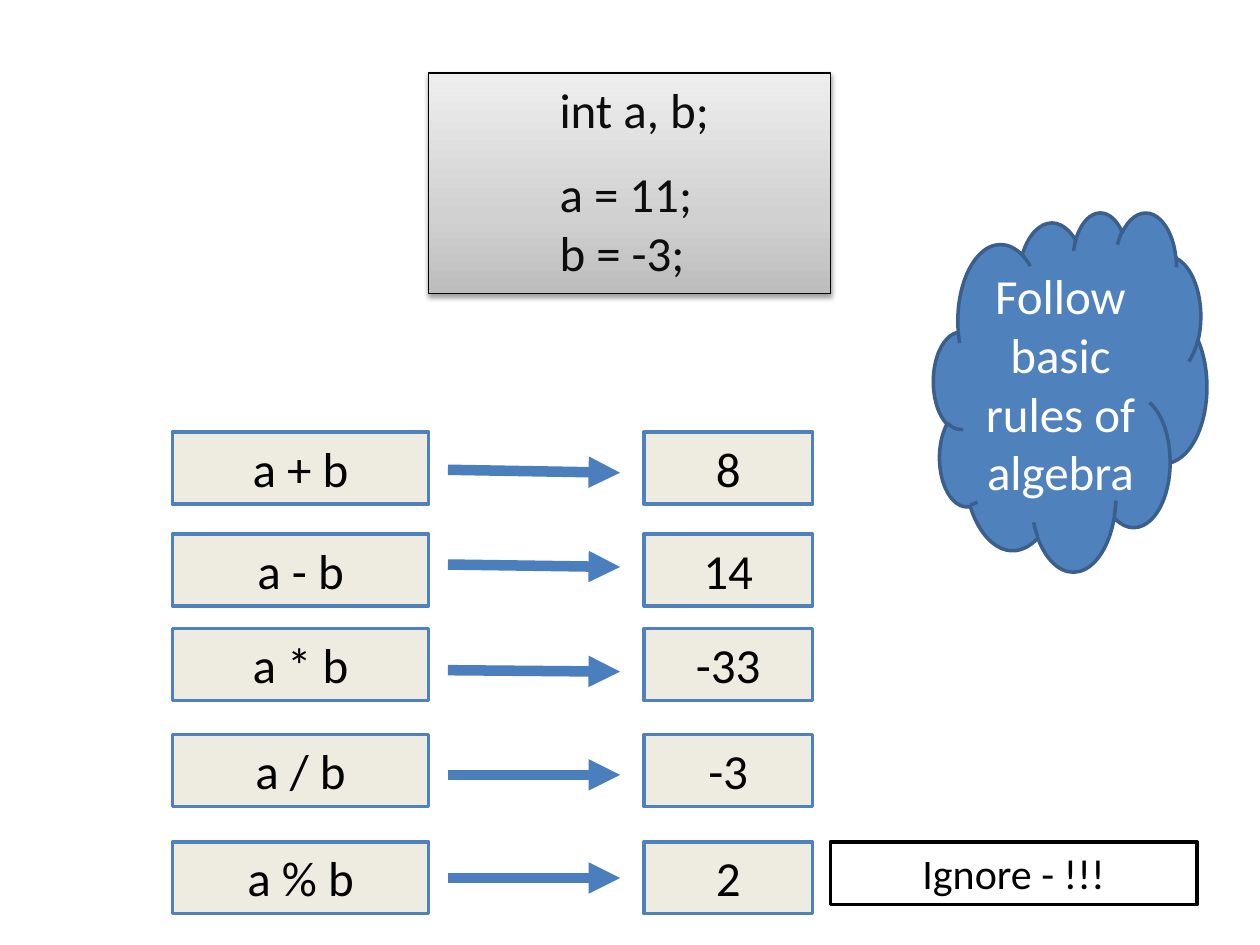
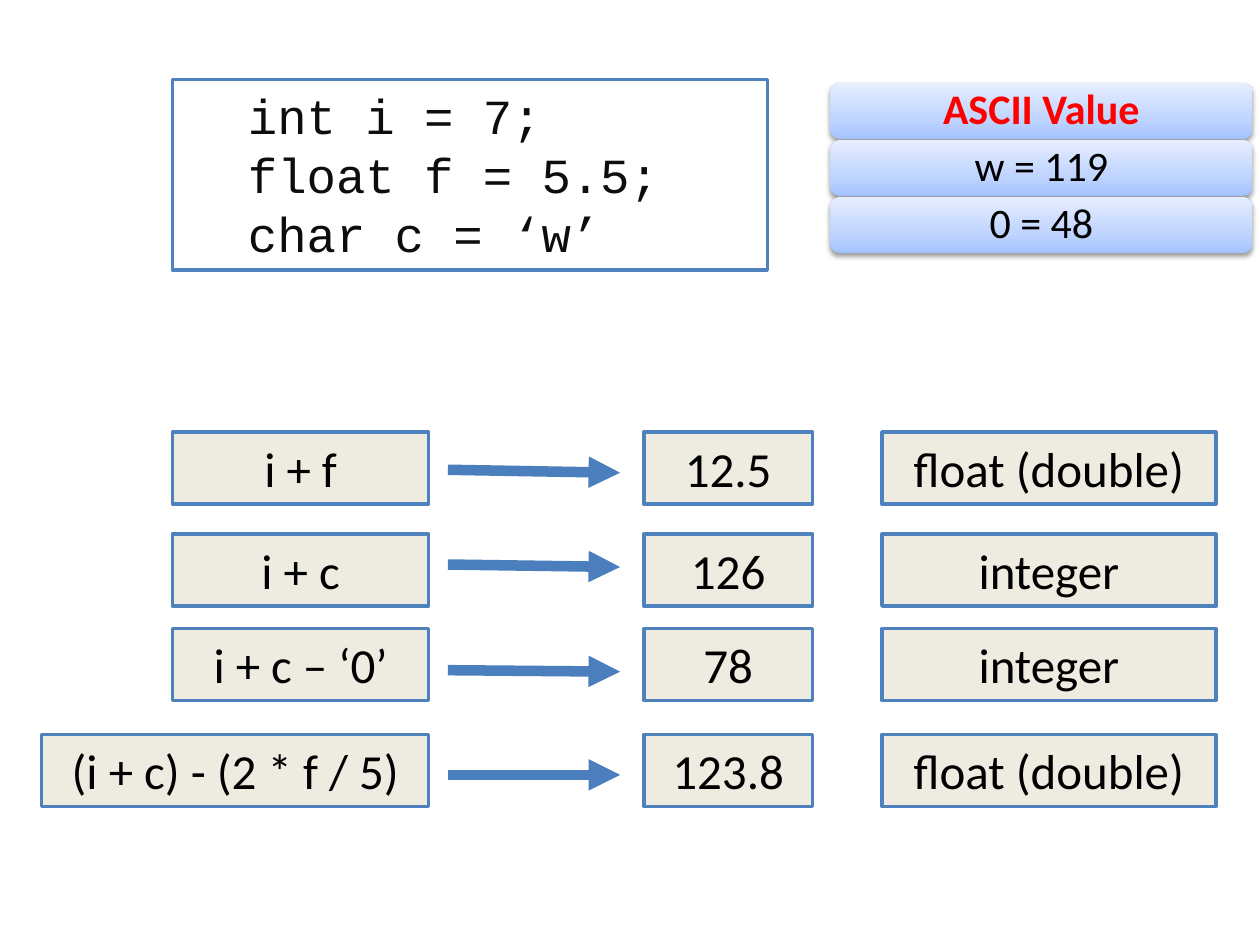
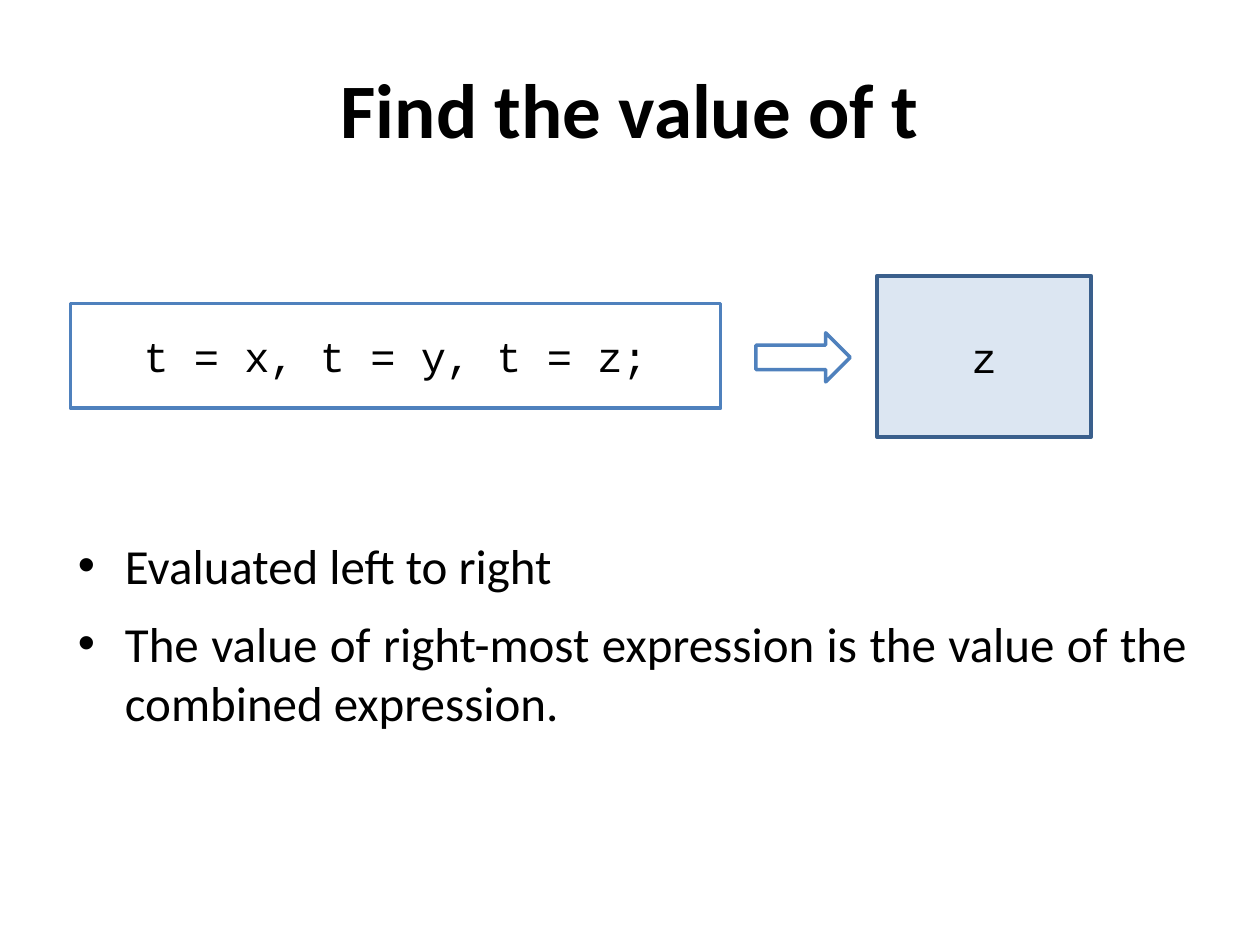
"""Build three slides on evaluating arithmetic and comma expressions in C."""
from lxml import etree
from pptx import Presentation
from pptx import util as u
from pptx.dml.color import RGBColor
from pptx.enum import shapes, text
from pptx.oxml.ns import qn

BLACK = RGBColor(0x00, 0x00, 0x00)
CODE_INK = RGBColor(0x0D, 0x0D, 0x0D)
WHITE = RGBColor(0xFF, 0xFF, 0xFF)
RED = RGBColor(0xFF, 0x00, 0x00)
CREAM = RGBColor(0xEE, 0xEC, 0xE1)
PALE_BLUE = RGBColor(0xDC, 0xE6, 0xF2)
BLUE = RGBColor(0x4F, 0x81, 0xBD)
DARK_BLUE = RGBColor(0x3A, 0x5F, 0x8C)
ARROW_BLUE = RGBColor(0x4B, 0x7E, 0xBC)
GREY_BLEND = ((0, "BDBDBD"), (35, "D1D1D1"), (100, "EEEEEE"))
BLUE_BLEND = ((0, "A4C4FF"), (35, "BFD4FF"), (100, "E6EEFF"))

SANS, MONO = "Calibri", "Courier New"
SHAPE = shapes.MSO_SHAPE
TOP, MIDDLE = text.MSO_ANCHOR.TOP, text.MSO_ANCHOR.MIDDLE
LEFT, CENTER, JUSTIFY = text.PP_ALIGN.LEFT, text.PP_ALIGN.CENTER, text.PP_ALIGN.JUSTIFY

ROW_TOPS = (8.71, 10.77, 12.67, 14.81, 16.97)
ROW_HEIGHT = 1.45
ARROW_ENDS = ((9.47, 9.53), (11.38, 11.43), (13.51, 13.54), (15.62, 15.62), (17.7, 17.7))
ARROW_LEFT, ARROW_RIGHT = 9.03, 12.5
EXPRESSION_LEFT, EXPRESSION_RIGHT = 3.48, 8.64
LONG_EXPRESSION_LEFT = 0.84
RESULT_LEFT, RESULT_WIDTH = 12.98, 3.4
TYPE_LEFT, TYPE_WIDTH = 17.78, 6.73

INTEGER_CODE = ("int a, b;", "a = 11;", "b = -3;")
INTEGER_ROWS = (("a + b", "8"), ("a - b", "14"), ("a * b", "-33"), ("a / b", "-3"), ("a % b", "2"))

MIXED_CODE = ("int i = 7;", "float f = 5.5;", "char c = ‘w’")
MIXED_ROWS = (
    ("i + f", "12.5", "float (double)"),
    ("i + c", "126", "integer"),
    ("i + c – ‘0’", "78", "integer"),
    ("(i + c) - (2 * f / 5)", "123.8", "float (double)"),
)
ASCII_ROWS = (("ASCII Value", RED, True), ("w = 119", BLACK, False), ("0 = 48", BLACK, False))

COMMA_NOTES = (
    "Evaluated left to right",
    "The value of right-most expression is the value of the combined expression.",
)


def write(box, lines, size=28, font=SANS, color=BLACK, bold=False, align=CENTER, anchor=TOP, indent=0):
    """Fill a box with one paragraph per line."""
    frame = box.text_frame
    frame.word_wrap = True
    frame.vertical_anchor = anchor
    for number, line in enumerate(lines):
        para = frame.paragraphs[0] if number == 0 else frame.add_paragraph()
        para.alignment = align
        if indent:
            para._p.get_or_add_pPr().set("marL", str(u.Cm(indent)))
        span = para.add_run()
        span.text = line
        span.font.name = font
        span.font.size = u.Pt(size)
        span.font.bold = bold
        span.font.color.rgb = color
    return box


def add_box(page, place, fill, line=None, kind=SHAPE.RECTANGLE, weight=2):
    """Add a preset shape without a shadow at a place in centimetres."""
    box = page.shapes.add_shape(kind, *map(u.Cm, place))
    box.shadow.inherit = False
    box.fill.solid()
    box.fill.fore_color.rgb = fill
    if line is None:
        box.line.fill.background()
    else:
        box.line.color.rgb = line
        box.line.width = u.Pt(weight)
    return box


def blend(box, stops):
    """Give a box an upward gradient and a soft shadow."""
    props = box._element.spPr
    gradient = etree.Element(qn("a:gradFill"), rotWithShape="1")
    stop_list = etree.SubElement(gradient, qn("a:gsLst"))
    for percent, shade in stops:
        stop = etree.SubElement(stop_list, qn("a:gs"), pos=str(percent * 1000))
        etree.SubElement(stop, qn("a:srgbClr"), val=shade)
    etree.SubElement(gradient, qn("a:lin"), ang="16200000", scaled="0")
    props.replace(props.find(qn("a:solidFill")), gradient)
    shadow = etree.SubElement(
        props.find(qn("a:effectLst")), qn("a:outerShdw"),
        blurRad=str(u.Pt(3.1)), dist=str(u.Pt(1.6)), dir="5400000", rotWithShape="0")
    tint = etree.SubElement(shadow, qn("a:srgbClr"), val="000000")
    etree.SubElement(tint, qn("a:alpha"), val="38000")


def add_arrow(page, start_y, end_y):
    """Add a thick arrow from the expression column to the result column."""
    arrow = page.shapes.add_connector(
        shapes.MSO_CONNECTOR.STRAIGHT,
        u.Cm(ARROW_LEFT), u.Cm(start_y), u.Cm(ARROW_RIGHT), u.Cm(end_y))
    arrow.line.color.rgb = ARROW_BLUE
    arrow.line.width = u.Pt(6)
    etree.SubElement(arrow.line._get_or_add_ln(), qn("a:tailEnd"), type="triangle")
    etree.SubElement(arrow._element.spPr, qn("a:effectLst"))


def add_rows(page, rows):
    """Add each expression with its arrow, its result and, if given, its type."""
    for row, top, ends in zip(rows, ROW_TOPS, ARROW_ENDS):
        left = LONG_EXPRESSION_LEFT if len(row[0]) > 12 else EXPRESSION_LEFT
        columns = (
            (left, EXPRESSION_RIGHT - left), (RESULT_LEFT, RESULT_WIDTH), (TYPE_LEFT, TYPE_WIDTH))
        for label, (x, width) in zip(row, columns):
            write(add_box(page, (x, top, width, ROW_HEIGHT), CREAM, BLUE), [label])
        add_arrow(page, *ends)


def integer_slide(page):
    """Show integer arithmetic."""
    add_rows(page, INTEGER_ROWS)
    remark = add_box(page, (16.74, ROW_TOPS[-1], 7.39, 1.27), WHITE, BLACK)
    write(remark, ["Ignore - !!!"], size=24)
    code = add_box(page, (8.64, 1.47, 8.1, 4.45), WHITE, BLACK, weight=0.75)
    blend(code, GREY_BLEND)
    write(code, INTEGER_CODE, color=CODE_INK, align=LEFT, indent=2.39)
    code.text_frame.paragraphs[1].space_before = u.Pt(14.6)
    cloud = add_box(page, (18.82, 4.27, 5.51, 7.24), BLUE, DARK_BLUE, SHAPE.CLOUD)
    write(cloud, ["Follow basic rules of algebra"], color=WHITE, anchor=MIDDLE)


def mixed_slide(page):
    """Show arithmetic on mixed types."""
    add_rows(page, MIXED_ROWS)
    code = add_box(page, (3.48, 1.6, 11.99, 3.84), WHITE, BLUE)
    write(code, MIXED_CODE, font=MONO, color=CODE_INK, align=LEFT, indent=1.27)
    for number, (label, color, bold) in enumerate(ASCII_ROWS):
        place = (16.74, 1.68 + 1.15 * number, 8.51, 1.12)
        bar = add_box(page, place, WHITE, kind=SHAPE.ROUNDED_RECTANGLE)
        blend(bar, BLUE_BLEND)
        write(bar, [label], size=24, color=color, bold=bold, anchor=MIDDLE)
        bar.text_frame.paragraphs[0].line_spacing = 0.9


def comma_slide(page):
    """Show the comma operator."""
    title = page.shapes.add_textbox(*map(u.Cm, (1.27, 0.76, 22.86, 2.84)))
    write(title, ["Find the value of t"], size=44, bold=True, anchor=MIDDLE)
    notes = page.shapes.add_textbox(*map(u.Cm, (1.32, 10.67, 22.86, 6.99)))
    write(notes, COMMA_NOTES, align=JUSTIFY, indent=0.95)
    for number, para in enumerate(notes.text_frame.paragraphs):
        props = para._p.get_or_add_pPr()
        props.set("indent", str(-u.Cm(0.95)))
        etree.SubElement(props, qn("a:buFont"), typeface="Arial")
        etree.SubElement(props, qn("a:buChar"), char="•")
        para.space_after = u.Pt(6)
        if number:
            para.space_before = u.Pt(5)
    answer = add_box(page, (17.68, 5.56, 4.32, 3.25), PALE_BLUE, DARK_BLUE)
    write(answer, ["z"], size=24, font=MONO, anchor=MIDDLE)
    question = add_box(page, (1.42, 6.12, 13.11, 2.11), WHITE, BLUE)
    write(question, ["t = x, t = y, t = z;"], size=24, font=MONO, anchor=MIDDLE)
    add_box(page, (15.24, 6.71, 1.9, 0.99), WHITE, BLUE, SHAPE.RIGHT_ARROW)


def main():
    """Build and save the deck."""
    deck = Presentation()
    deck.slide_width, deck.slide_height = u.Cm(25.4), u.Cm(19.05)
    for build in (integer_slide, mixed_slide, comma_slide):
        build(deck.slides.add_slide(deck.slide_layouts[6]))
    deck.save("out.pptx")


if __name__ == "__main__":
    main()
